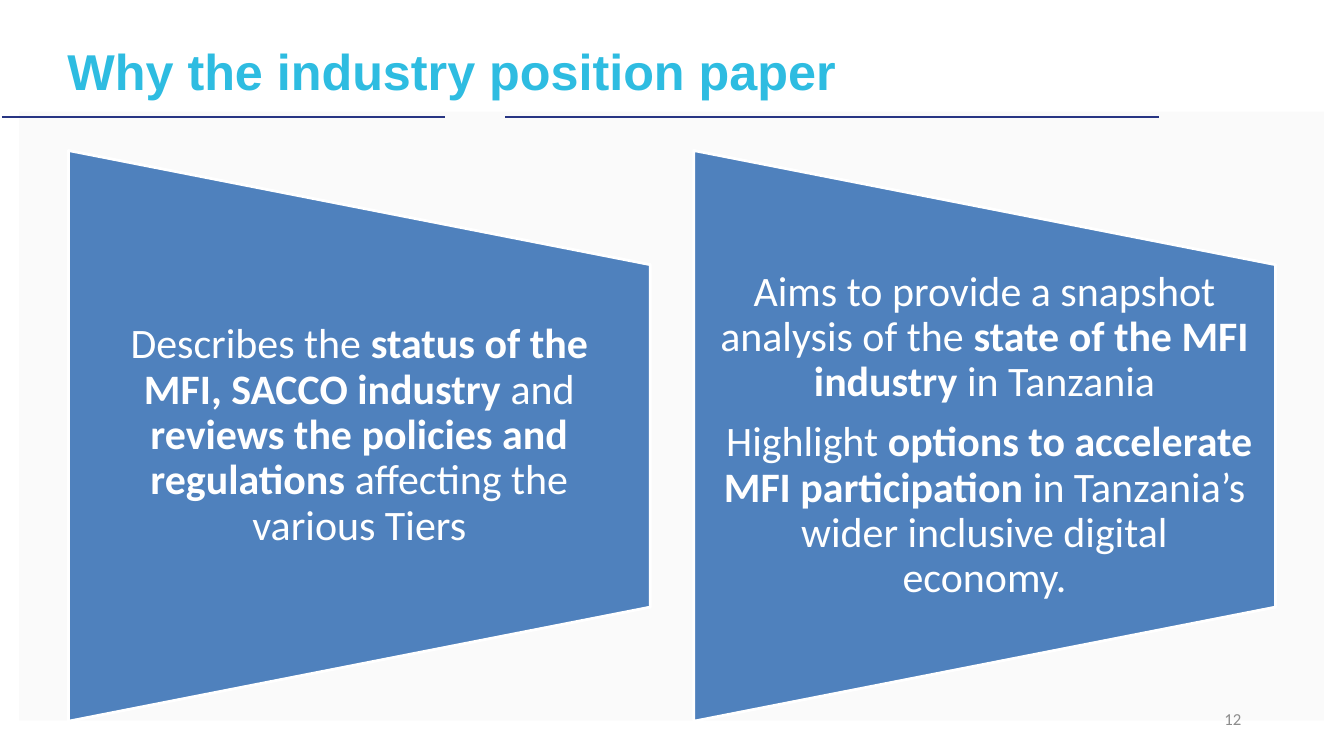
"""Build the slide on why the industry position paper was written."""
from dataclasses import dataclass

import lxml.etree
import pptx
import pptx.dml.color
import pptx.enum.shapes
import pptx.enum.text
import pptx.oxml.ns
import pptx.presentation
import pptx.shapes.autoshape
import pptx.shapes.base
import pptx.slide
import pptx.text.text
import pptx.util

Inches = pptx.util.Inches
Pt = pptx.util.Pt
Align = pptx.enum.text.PP_ALIGN
Kind = pptx.enum.shapes.MSO_SHAPE


@dataclass(frozen=True)
class Theme:
    panel: str = "F6F6F6"
    rule: str = "283583"
    title: str = "2EBCE1"
    card: str = "4F81BD"
    white: str = "FFFFFF"
    grey: str = "8C8C8C"
    head: str = "Arial"
    body: str = "Calibri"
    big: int = 36
    mid: int = 30
    small: int = 12


@dataclass(frozen=True)
class Box:
    left: float
    top: float
    width: float
    height: float


@dataclass(frozen=True)
class Part:
    text: str
    bold: bool = False


@dataclass(frozen=True)
class Card:
    left: float
    paras: tuple[tuple[Part, ...], ...]


@dataclass(frozen=True)
class Rule:
    start: float
    end: float


@dataclass(frozen=True)
class Style:
    font: str
    size: int
    color: str
    align: Align
    inset: float
    pad: float = 0
    line: float = 1
    after: float = 0


THEME = Theme()
TITLE = Style(THEME.head, THEME.big, THEME.title, Align.LEFT, 0)
BODY = Style(THEME.body, THEME.mid, THEME.white, Align.CENTER, 0.21,
             line=0.9, after=0.35 * THEME.mid)
PAGE = Style(THEME.body, THEME.small, THEME.grey, Align.RIGHT, 0.1, pad=0.05)

RULES = (Rule(0.02, 4.42), Rule(5.02, 11.51))
CARDS = (
    Card(0.68, ((
        Part("Describes the "),
        Part("status of the MFI, SACCO industry ", True),
        Part("and "),
        Part("reviews the policies and regulations ", True),
        Part("affecting the various Tiers"),
    ),)),
    Card(6.89, (
        (
            Part("Aims to provide a snapshot analysis of the "),
            Part("state of the MFI industry ", True),
            Part("in Tanzania"),
        ),
        (
            Part(" Highlight "),
            Part("options to accelerate MFI participation ", True),
            Part("in Tanzania’s wider inclusive digital economy."),
        ),
    )),
)


def tint(code: str) -> pptx.dml.color.RGBColor:
    """Turn a hex code into a colour."""
    return pptx.dml.color.RGBColor.from_string(code)


def spot(box: Box) -> tuple[pptx.util.Length, ...]:
    """Give the place and size of a box as lengths."""
    return tuple(Inches(n) for n in (box.left, box.top, box.width, box.height))


def shape(slide: pptx.slide.Slide, kind: Kind, box: Box,
          fill: str) -> pptx.shapes.autoshape.Shape:
    """Add a flat filled shape."""
    item = slide.shapes.add_shape(kind, *spot(box))
    item.shadow.inherit = False
    item.fill.solid()
    item.fill.fore_color.rgb = tint(fill)
    return item


def write(slide: pptx.slide.Slide, box: Box, style: Style,
          paras: tuple[tuple[Part, ...], ...]) -> None:
    """Add a text box of styled paragraphs, centred in height."""
    frame = slide.shapes.add_textbox(*spot(box)).text_frame
    frame.word_wrap = True
    frame.vertical_anchor = pptx.enum.text.MSO_ANCHOR.MIDDLE
    frame.margin_left = frame.margin_right = Inches(style.inset)
    frame.margin_top = frame.margin_bottom = Inches(style.pad)
    for at, parts in enumerate(paras):
        para = frame.add_paragraph() if at else frame.paragraphs[0]
        para.alignment = style.align
        para.line_spacing = style.line
        para.space_after = Pt(style.after)
        for part in parts:
            run = para.add_run()
            run.text = part.text
            run.font.name = style.font
            run.font.size = Pt(style.size)
            run.font.bold = part.bold
            run.font.color.rgb = tint(style.color)


def panel(slide: pptx.slide.Slide) -> None:
    """Add the half clear panel behind the cards."""
    item = shape(slide, Kind.RECTANGLE, Box(0.19, 1.11, 12.96, 6.05), THEME.panel)
    item.line.fill.background()
    tag = pptx.oxml.ns.qn
    color = item.fill._xPr.find(f".//{tag('a:srgbClr')}")
    lxml.etree.SubElement(color, tag("a:alpha"), val="50000")


def rule(slide: pptx.slide.Slide, item: Rule) -> None:
    """Add one line under the title."""
    top = Inches(1.16)
    line = slide.shapes.add_connector(
        pptx.enum.shapes.MSO_CONNECTOR.STRAIGHT,
        Inches(item.start), top, Inches(item.end), top)
    line.line.color.rgb = tint(THEME.rule)
    line.line.width = Pt(1.5)
    lxml.etree.SubElement(line._element.spPr, pptx.oxml.ns.qn("a:effectLst"))


def card(slide: pptx.slide.Slide, item: Card) -> None:
    """Add one turned card and its text."""
    width, height = 5.67, 5.78
    box = Box(item.left + (height - width) / 2, 1.44, width, height)
    back = shape(slide, Kind.FLOWCHART_MANUAL_OPERATION, box, THEME.card)
    back.rotation = 270
    back.line.color.rgb = tint(THEME.white)
    back.line.width = Pt(2)
    write(slide, Box(item.left, 2.63, height, 3.4), BODY, item.paras)


def main() -> None:
    """Draw the slide and save it."""
    deck = pptx.Presentation()
    deck.slide_width, deck.slide_height = Inches(13.35), Inches(7.49)
    slide = deck.slides.add_slide(deck.slide_layouts[6])
    panel(slide)
    for item in RULES:
        rule(slide, item)
    write(slide, Box(0.67, 0.24, 10.83, 0.92), TITLE,
          ((Part("Why the industry position paper", True),),))
    for item in CARDS:
        card(slide, item)
    write(slide, Box(9.43, 6.94, 3, 0.4), PAGE, ((Part("12"),),))
    deck.save("out.pptx")


if __name__ == "__main__":
    main()
